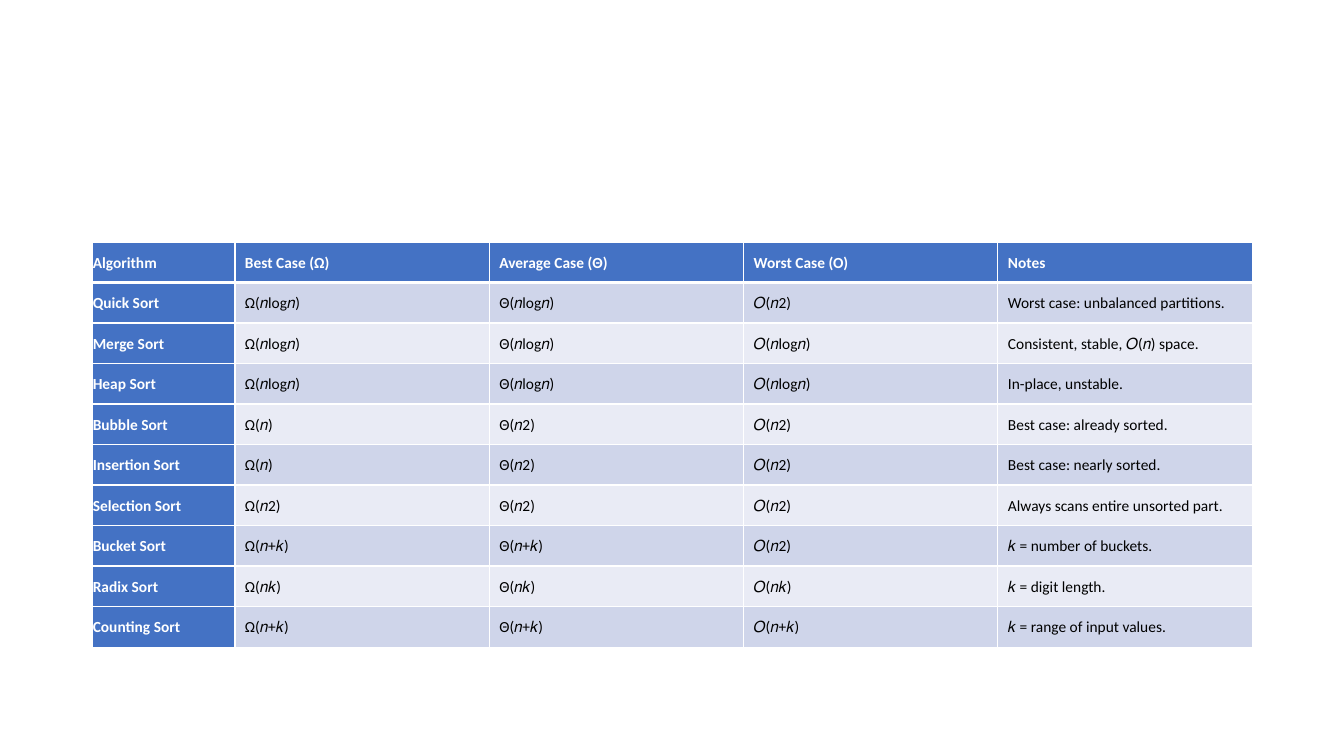
"""Build a slide with a table comparing the complexity of sorting algorithms."""
import pptx
import pptx.dml.color
import pptx.enum.text
import pptx.oxml
import pptx.oxml.ns
import pptx.util

THEME = {
    "font": "Calibri",
    "size": 11,
    "head": "4472C4",
    "bands": ("CFD5EA", "E9EBF5"),
    "light": "FFFFFF",
    "dark": "000000",
    "rule": 1,
    "head_rule": 3,
}
WIDTH, HEIGHT = 13.33, 7.5
LEFT, TOP, TABLE_WIDTH = 0.92, 2.4, 11.5
NAME_WIDTH, ROW_HEIGHT, INSET = 1.41, 0.4, 0.1

ROWS = [
    ("Algorithm", "Best Case (Ω)", "Average Case (Θ)", "Worst Case (O)", "Notes"),
    ("Quick Sort", "Ω(𝑛log𝑛)", "Θ(𝑛log𝑛)", "𝑂(𝑛2)", "Worst case: unbalanced partitions."),
    ("Merge Sort", "Ω(𝑛log𝑛)", "Θ(𝑛log𝑛)", "𝑂(𝑛log𝑛)", "Consistent, stable, 𝑂(𝑛) space."),
    ("Heap Sort", "Ω(𝑛log𝑛)", "Θ(𝑛log𝑛)", "𝑂(𝑛log𝑛)", "In-place, unstable."),
    ("Bubble Sort", "Ω(𝑛)", "Θ(𝑛2)", "𝑂(𝑛2)", "Best case: already sorted."),
    ("Insertion Sort", "Ω(𝑛)", "Θ(𝑛2)", "𝑂(𝑛2)", "Best case: nearly sorted."),
    ("Selection Sort", "Ω(𝑛2)", "Θ(𝑛2)", "𝑂(𝑛2)", "Always scans entire unsorted part."),
    ("Bucket Sort", "Ω(𝑛+𝑘)", "Θ(𝑛+𝑘)", "𝑂(𝑛2)", "𝑘 = number of buckets."),
    ("Radix Sort", "Ω(𝑛𝑘)", "Θ(𝑛𝑘)", "𝑂(𝑛𝑘)", "𝑘 = digit length."),
    ("Counting Sort", "Ω(𝑛+𝑘)", "Θ(𝑛+𝑘)", "𝑂(𝑛+𝑘)", "𝑘 = range of input values."),
]


def set_all(target, values):
    for name, value in values.items():
        setattr(target, name, value)


def set_borders(cell, widths):
    tc_pr = cell._tc.get_or_add_tcPr()
    for i, (side, width) in enumerate(widths.items()):
        tc_pr.insert(i, pptx.oxml.parse_xml(
            f'<a:ln{side} {pptx.oxml.ns.nsdecls("a")} w="{pptx.util.Pt(width)}">'
            f'<a:solidFill><a:srgbClr val="{THEME["light"]}"/></a:solidFill></a:ln{side}>'))


prs = pptx.Presentation()
prs.slide_width = pptx.util.Inches(WIDTH)
prs.slide_height = pptx.util.Inches(HEIGHT)
s = prs.slides.add_slide(prs.slide_layouts.get_by_name("Blank"))

n_rows, n_cols = len(ROWS), len(ROWS[0])
box = (LEFT, TOP, TABLE_WIDTH, ROW_HEIGHT * n_rows)
table = s.shapes.add_table(n_rows, n_cols, *map(pptx.util.Inches, box)).table
table.first_col = True
case_width = (TABLE_WIDTH - NAME_WIDTH) / (n_cols - 1)
for col, column in enumerate(table.columns):
    column.width = pptx.util.Inches(case_width if col else NAME_WIDTH)

for row, texts in enumerate(ROWS):
    for col, text in enumerate(texts):
        is_head = row == 0 or col == 0
        cell = table.cell(row, col)
        set_all(cell, {
            "margin_left": pptx.util.Inches(INSET if col else 0),
            "margin_right": pptx.util.Inches(INSET),
            "margin_top": pptx.util.Inches(INSET),
            "margin_bottom": pptx.util.Inches(INSET),
            "vertical_anchor": pptx.enum.text.MSO_ANCHOR.MIDDLE,
        })
        cell.fill.solid()
        fill = THEME["head"] if is_head else THEME["bands"][(row - 1) % 2]
        cell.fill.fore_color.rgb = pptx.dml.color.RGBColor.from_string(fill)
        set_borders(cell, {
            "L": THEME["rule"],
            "R": THEME["rule"],
            "T": THEME["head_rule" if row == 1 else "rule"],
            "B": THEME["head_rule" if row == 0 else "rule"],
        })
        p = cell.text_frame.paragraphs[0]
        set_all(p, {"line_spacing": 1.07, "space_after": pptx.util.Pt(8)})
        r = p.add_run()
        r.text = text
        set_all(r.font, {
            "name": THEME["font"],
            "size": pptx.util.Pt(THEME["size"]),
            "bold": is_head,
        })
        r.font.color.rgb = pptx.dml.color.RGBColor.from_string(
            THEME["light" if is_head else "dark"])

prs.save("out.pptx")
